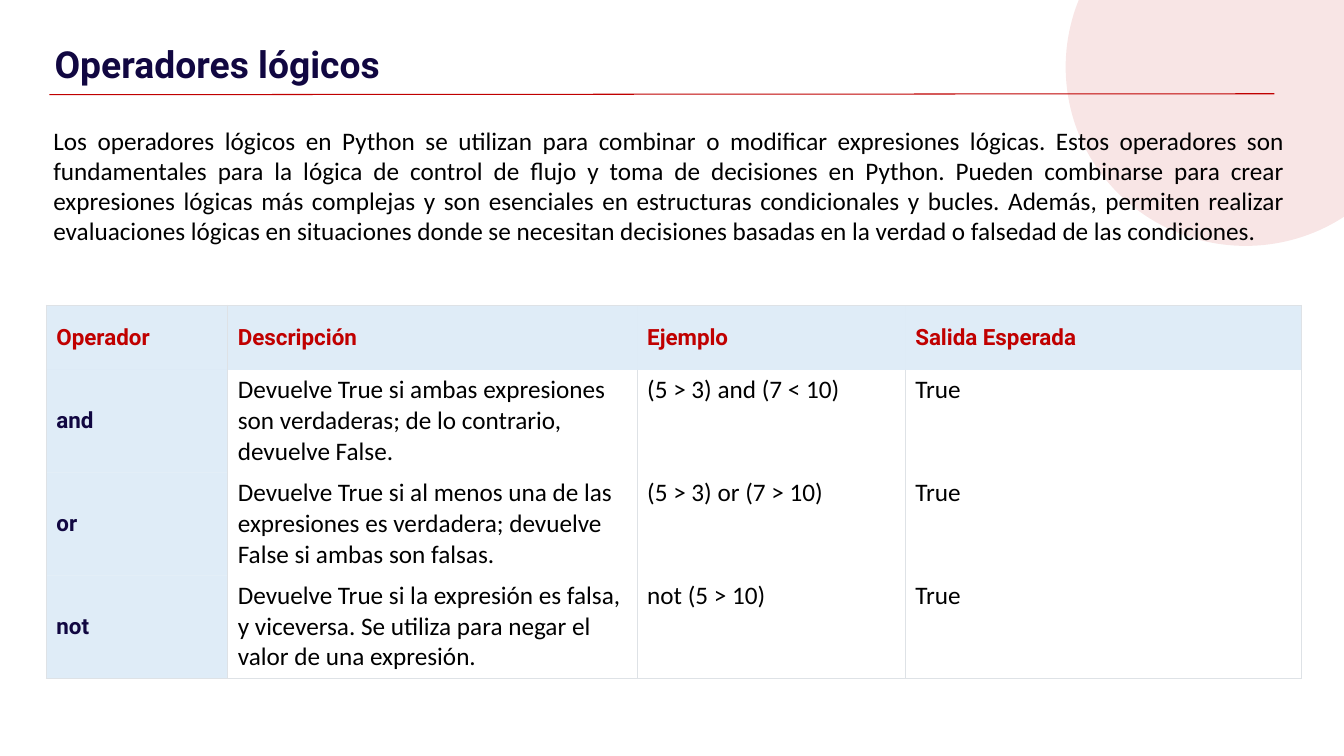
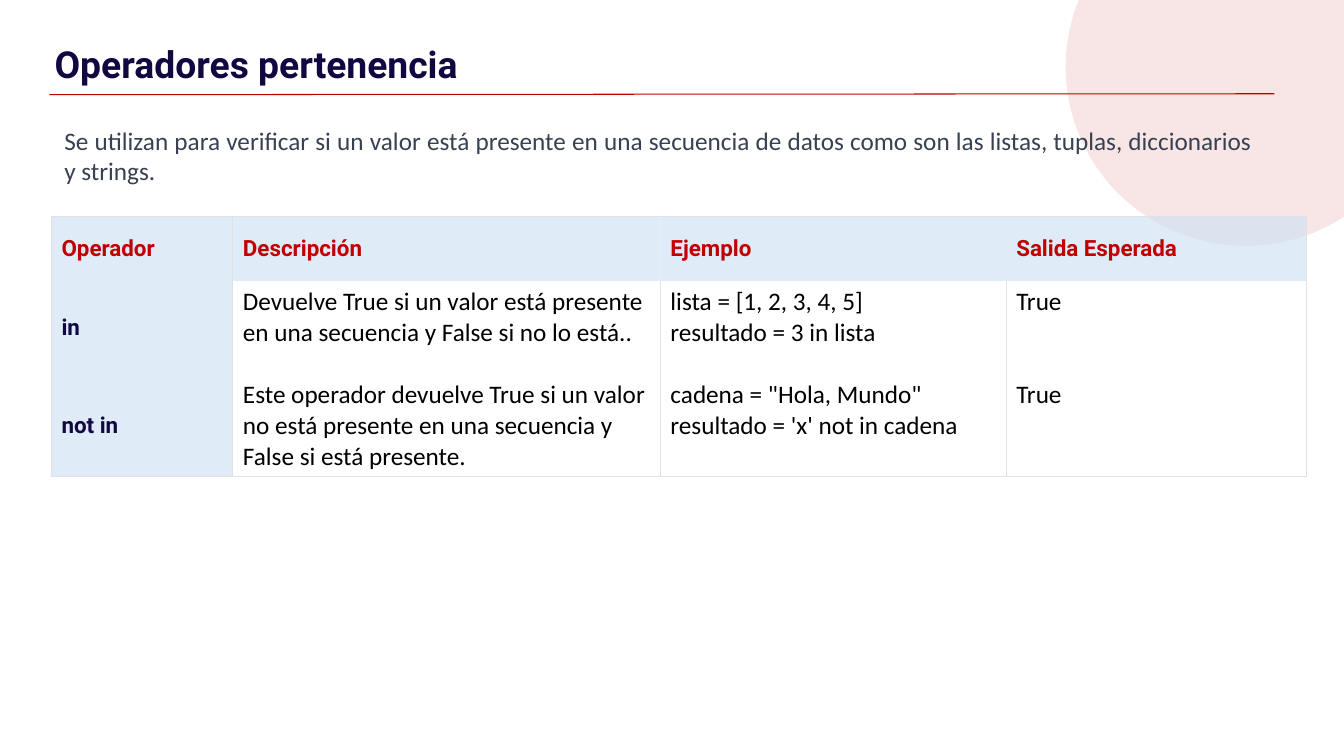
import dataclasses

import pptx
import pptx.dml.color
import pptx.enum.shapes
import pptx.enum.text
import pptx.oxml
import pptx.oxml.ns
import pptx.util

Pt = pptx.util.Pt
Inches = pptx.util.Inches
Align = pptx.enum.text.PP_ALIGN
Anchor = pptx.enum.text.MSO_ANCHOR
qn = pptx.oxml.ns.qn

WIDTH, HEIGHT = Inches(13.33), Inches(7.5)
TITLE_ONLY = 5
RED, NAVY, BLACK, SLATE = "C00000", "110741", "000000", "374151"
BLUE, WHITE, GREY = "CFE2F3", "FFFFFF", "DEE2E6"
HEAD, BODY = "Roboto", "Calibri"
LABELS = ("Operador", "Descripción", "Ejemplo", "Salida Esperada")


@dataclasses.dataclass(frozen=True)
class Box:
    """A place in percent of the slide's width and height."""
    left: float
    top: float
    width: float
    height: float

    def place(self) -> tuple[int, int, int, int]:
        return across(self.left), down(self.top), across(self.width), down(self.height)


@dataclasses.dataclass(frozen=True)
class Page:
    title: str
    intro: str
    intro_box: Box
    intro_hue: str
    left: float
    top: float
    cols: tuple[float, ...]
    rows: tuple[float, ...]
    cells: tuple[tuple[str, ...], ...]


DISC = Box(79.29, -14.8, 26.78, 47.33)
TITLE = Box(3.08, 0, 86.05, 10.27)
RULE = (3.68, 12.53, 94.82, 12.4)

PAGES = (
    Page(
        "Operadores lógicos",
        "Los operadores lógicos en Python se utilizan para combinar o modificar "
        "expresiones lógicas. Estos operadores son fundamentales para la lógica de "
        "control de flujo y toma de decisiones en Python. Pueden combinarse para crear "
        "expresiones lógicas más complejas y son esenciales en estructuras "
        "condicionales y bucles. Además, permiten realizar evaluaciones lógicas en "
        "situaciones donde se necesitan decisiones basadas en la verdad o falsedad de "
        "las condiciones.",
        Box(3.23, 15.87, 93.1, 23.73), BLACK,
        left=3.45, top=40.4,
        cols=(13.5, 30.46, 19.95, 29.48),
        rows=(8.53, 13.6, 13.6, 13.6),
        cells=(
            ("and", "Devuelve True si ambas expresiones son verdaderas; de lo "
             "contrario, devuelve False.", "(5 > 3) and (7 < 10)", "True"),
            ("or", "Devuelve True si al menos una de las expresiones es verdadera; "
             "devuelve False si ambas son falsas.", "(5 > 3) or (7 > 10)", "True"),
            ("not", "Devuelve True si la expresión es falsa, y viceversa. Se utiliza "
             "para negar el valor de una expresión.", "not (5 > 10)", "True"),
        ),
    ),
    Page(
        "Operadores pertenencia",
        "Se utilizan para verificar si un valor está presente en una secuencia de "
        "datos como son las listas, tuplas, diccionarios y strings.",
        Box(4.05, 15.87, 89.87, 9.33), SLATE,
        left=3.83, top=28.67,
        cols=(13.5, 31.81, 25.73, 22.36),
        rows=(8.53, 12.4, 13.47),
        cells=(
            ("in", "Devuelve True si un valor está presente en una secuencia y False "
             "si no lo está..", "lista = [1, 2, 3, 4, 5]\nresultado = 3 in lista", "True"),
            ("not in", "Este operador devuelve True si un valor no está presente en una "
             "secuencia y False si está presente.",
             "cadena = \"Hola, Mundo\"\nresultado = 'x' not in cadena", "True"),
        ),
    ),
)


def across(share: float) -> int:
    return round(WIDTH * share / 100)


def down(share: float) -> int:
    return round(HEIGHT * share / 100)


def rgb(code: str) -> pptx.dml.color.RGBColor:
    return pptx.dml.color.RGBColor.from_string(code)


def paint(fill, parent, code: str, alpha: int = 100) -> None:
    """Fill solidly; parent is the XML element that holds the fill."""
    fill.solid()
    fill.fore_color.rgb = rgb(code)
    if alpha < 100:
        tint = pptx.oxml.ns.qn("a:alpha")
        shade = parent.find(".//" + qn("a:srgbClr"))
        shade.append(shade.makeelement(tint, {"val": str(alpha * 1000)}))


def write(frame, text: str, *, size: float = 18, font: str = BODY, code: str = BLACK,
          bold: bool = False, align=Align.LEFT) -> None:
    frame.word_wrap = True
    frame.text = text
    for para in frame.paragraphs:
        para.alignment = align
        for run in para.runs:
            run.font.size = Pt(size)
            run.font.name = font
            run.font.bold = bold
            run.font.color.rgb = rgb(code)


def border(props, sides: str) -> None:
    """Draw the named sides (of LRTB) of a cell and clear the others."""
    for spot, side in enumerate("LRTB"):
        paint_xml = (f'<a:solidFill><a:srgbClr val="{GREY}"/></a:solidFill>'
                     if side in sides else "<a:noFill/>")
        props.insert(spot, pptx.oxml.parse_xml(
            f'<a:ln{side} {pptx.oxml.ns.nsdecls("a")} w="{Pt(0.75)}">'
            f"{paint_xml}</a:ln{side}>"))


def add_base(slide, title: str) -> None:
    """Add the disc, the rule and the title that all slides share."""
    shapes = slide.shapes
    disc = shapes.add_shape(pptx.enum.shapes.MSO_SHAPE.OVAL, *DISC.place())
    disc.shadow.inherit = False
    paint(disc.fill, disc._element.spPr, RED, 10)
    disc.line.fill.background()

    x1, y1, x2, y2 = RULE
    rule = shapes.add_connector(pptx.enum.shapes.MSO_CONNECTOR.STRAIGHT,
                                across(x1), down(y1), across(x2), down(y2))
    rule.line.color.rgb = rgb(RED)
    rule.line.width = Pt(0.75)
    props = rule._element.spPr
    props.append(props.makeelement(qn("a:effectLst"), {}))

    head = shapes.title
    head.left, head.top, head.width, head.height = TITLE.place()
    frame = head.text_frame
    frame.auto_size = pptx.enum.text.MSO_AUTO_SIZE.NONE
    frame.vertical_anchor = Anchor.TOP
    frame.margin_left = frame.margin_right = Inches(0.13)
    frame.margin_top, frame.margin_bottom = Inches(0.41), 0
    write(frame, title, size=26.6, font=HEAD, code=NAVY, bold=True)


def add_grid(slide, page: Page) -> None:
    """Add the table of operators."""
    box = Box(page.left, page.top, sum(page.cols), sum(page.rows))
    table = slide.shapes.add_table(len(page.rows), len(page.cols), *box.place()).table
    table.first_row = table.horz_banding = False
    for col, share in zip(table.columns, page.cols):
        col.width = across(share)
    for row, share in zip(table.rows, page.rows):
        row.height = down(share)

    last = len(page.cols) - 1
    for r, texts in enumerate((LABELS, *page.cells)):
        for c, text in enumerate(texts):
            cell = table.cell(r, c)
            props = cell._tc.get_or_add_tcPr()
            if r == 0 or c == 0:
                cell.vertical_anchor = Anchor.MIDDLE
                paint(cell.fill, props, BLUE, 65)
                write(cell.text_frame, text, size=16, font=HEAD,
                      code=NAVY if r else RED, bold=True)
            else:
                paint(cell.fill, props, WHITE)
                write(cell.text_frame, text)
            top = {0: "LRT", 1: "LT", last: "RT"}.get(c, "T")
            border(props, "LRB" if r else top)


def main() -> None:
    deck = pptx.Presentation()
    deck.slide_width, deck.slide_height = WIDTH, HEIGHT
    for page in PAGES:
        slide = deck.slides.add_slide(deck.slide_layouts[TITLE_ONLY])
        add_base(slide, page.title)
        intro = slide.shapes.add_textbox(*page.intro_box.place())
        write(intro.text_frame, page.intro, code=page.intro_hue, align=Align.JUSTIFY)
        add_grid(slide, page)
    deck.save("out.pptx")


if __name__ == "__main__":
    main()
